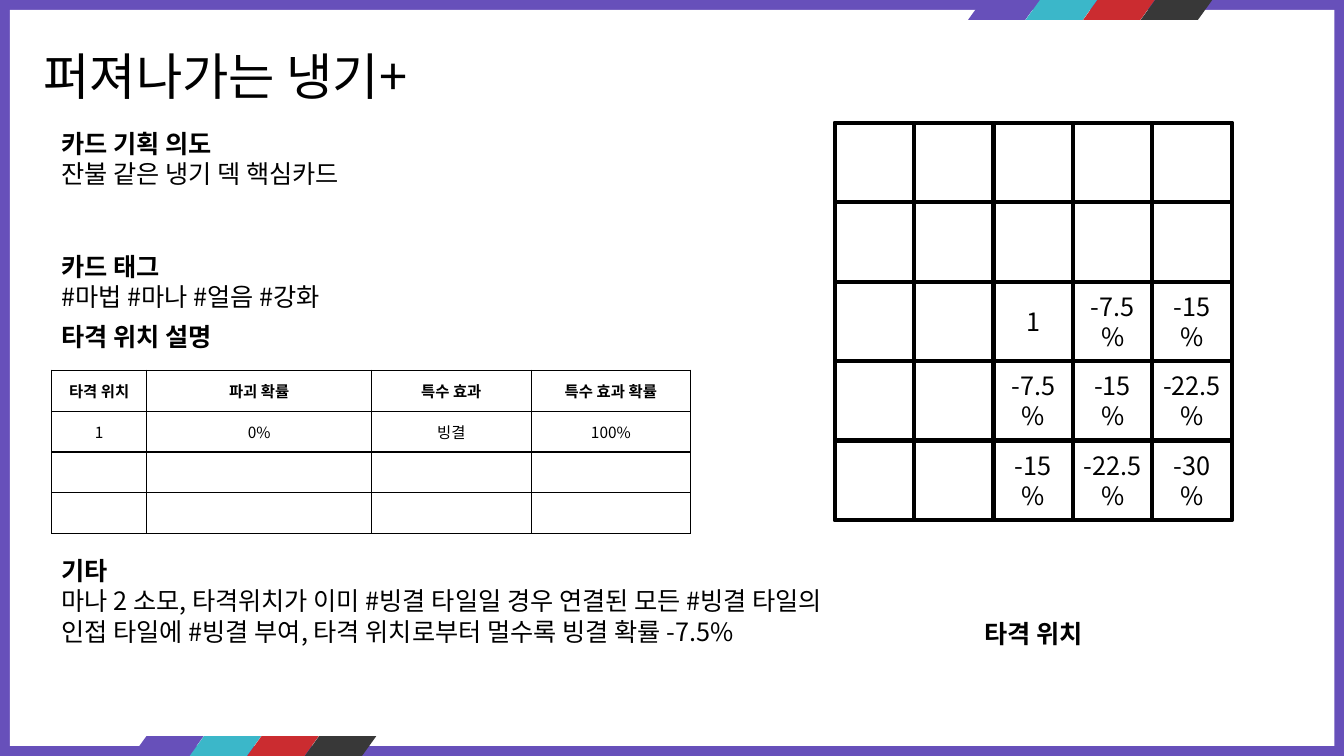
from lxml import etree
from pptx import Presentation
from pptx.dml.color import RGBColor
from pptx.enum.shapes import MSO_SHAPE
from pptx.enum.text import MSO_ANCHOR, MSO_AUTO_SIZE, PP_ALIGN
from pptx.oxml.ns import qn
from pptx.util import Cm, Inches, Pt

RECTANGLE = MSO_SHAPE.RECTANGLE
STRIPE = MSO_SHAPE.FLOWCHART_DATA
TOP, MIDDLE = MSO_ANCHOR.TOP, MSO_ANCHOR.MIDDLE
LEFT, CENTER = PP_ALIGN.LEFT, PP_ALIGN.CENTER
GROW = MSO_AUTO_SIZE.SHAPE_TO_FIT_TEXT

COLORS = {
    "purple": "6750BA",
    "teal": "3BB7C9",
    "red": "CB2C30",
    "charcoal": "383838",
    "white": "FFFFFF",
    "black": "000000",
}
FONT = "Noto Sans CJK KR"
TITLE_SIZE, BODY_SIZE, TABLE_SIZE = 36, 18, 11
GRID_UNIT = Cm(1)  # one column or one row


def grid(*lengths):
    """Turn columns and rows into slide lengths."""
    return [round(length * GRID_UNIT) for length in lengths]


def rgb(name):
    return RGBColor.from_string(COLORS[name])


class CardSlide:
    def __init__(self, presentation):
        self.slide = presentation.slides.add_slide(presentation.slide_layouts[5])
        self.shapes = self.slide.shapes
        background = self.slide.background.fill
        background.solid()
        background.fore_color.rgb = rgb("purple")

    def set_text(self, paragraph, text, size=BODY_SIZE, bold=False, align=LEFT):
        paragraph.text = text
        paragraph.alignment = align
        font = paragraph.font
        font.size, font.bold, font.name = Pt(size), bold, FONT
        font.color.rgb = rgb("black")
        defaults = paragraph._p.find(".//" + qn("a:defRPr"))
        etree.SubElement(defaults, qn("a:ea"), typeface=FONT)

    def title(self, text, *place):
        title = self.shapes.title
        title.left, title.top, title.width, title.height = grid(*place)
        frame = title.text_frame
        frame.word_wrap, frame.auto_size = True, GROW
        frame.vertical_anchor = TOP
        self.set_text(frame.paragraphs[0], text, TITLE_SIZE)
        self.shapes._spTree.append(title._element)  # in front of the panel

    def block(self, shape_type, color, *place, outlined=False, text=""):
        shape = self.shapes.add_shape(shape_type, *grid(*place))
        shape.shadow.inherit = False
        shape.fill.solid()
        shape.fill.fore_color.rgb = rgb(color)
        if outlined:
            shape.line.color.rgb = rgb("black")
            shape.line.width = Pt(3)
        else:
            shape.line.fill.background()
        if text:
            shape.text_frame.vertical_anchor = MIDDLE
            self.set_text(shape.text_frame.paragraphs[0], text, align=CENTER)

    def stripes(self, left, top):
        for index, color in enumerate(("purple", "teal", "red", "charcoal")):
            self.block(STRIPE, color, left + 1.45 * index, top, 1.8, 0.5)

    def section(self, heading, body, *place, align=LEFT):
        """Add a bold heading with an optional body paragraph under it."""
        frame = self.shapes.add_textbox(*grid(*place)).text_frame
        frame.word_wrap, frame.auto_size = True, GROW
        self.set_text(frame.paragraphs[0], heading, bold=True, align=align)
        if body:
            self.set_text(frame.add_paragraph(), body, align=align)

    def board(self, left, top, tile, count):
        """Draw the tiles; the chance drops with distance from the centre."""
        self.block(RECTANGLE, "white", left, top, tile * count, tile * count,
                   outlined=True)
        center = count // 2
        for row in range(count):
            for column in range(count):
                text = ""
                if row >= center and column >= center:
                    distance = row + column - 2 * center
                    text = f"{-7.5 * distance:g}%" if distance else "1"
                self.block(RECTANGLE, "white", left + column * tile,
                           top + row * tile, tile, tile, outlined=True, text=text)

    def border(self, cell):
        properties = cell._tc.get_or_add_tcPr()
        for index, side in enumerate(("lnL", "lnR", "lnT", "lnB")):
            line = etree.Element(qn("a:" + side), w=str(Pt(1)))
            fill = etree.SubElement(line, qn("a:solidFill"))
            etree.SubElement(fill, qn("a:srgbClr"), val=COLORS["black"])
            properties.insert(index, line)

    def table(self, rows, widths, left, top, row_height):
        place = grid(left, top, sum(widths), row_height * len(rows))
        table = self.shapes.add_table(len(rows), len(widths), *place).table
        table.first_row = table.horz_banding = False
        for column, width in zip(table.columns, grid(*widths)):
            column.width = width
        for row_index, texts in enumerate(rows):
            for column_index, text in enumerate(texts):
                cell = table.cell(row_index, column_index)
                cell.margin_left = cell.margin_right = 0
                cell.margin_top = cell.margin_bottom = 0
                cell.vertical_anchor = MIDDLE
                cell.fill.solid()
                cell.fill.fore_color.rgb = rgb("white")
                self.border(cell)
                self.set_text(cell.text_frame.paragraphs[0], text, TABLE_SIZE,
                              bold=row_index == 0, align=CENTER)


def main():
    presentation = Presentation()
    presentation.slide_width = Inches(13.33)
    presentation.slide_height = Inches(7.5)
    card = CardSlide(presentation)

    card.block(RECTANGLE, "white", 0.25, 0.25, 33.37, 18.55)
    card.stripes(24.39, 0)
    card.stripes(3.33, 18.55)

    card.section("카드 기획 의도", "잔불 같은 냉기 덱 핵심카드", 1.3, 3.1, 30.96, 1.8)
    card.board(21.03, 3.1, tile=2, count=5)
    card.section("카드 태그", "#마법 #마나 #얼음 #강화", 1.3, 6.2, 20.1, 1.8)
    card.section("타격 위치 설명", "", 1.3, 7.98, 20.1, 1.02)
    card.table(
        [
            ("타격 위치", "파괴 확률", "특수 효과", "특수 효과 확률"),
            ("1", "0%", "빙결", "100%"),
            ("",) * 4,
            ("",) * 4,
        ],
        (2.4, 5.66, 4.02, 4.02), 1.3, 9.33, row_height=1.03,
    )
    card.section("타격 위치", "", 23.45, 15.45, 5.18, 1.02, align=CENTER)
    card.section(
        "기타",
        "마나 2 소모, 타격위치가 이미 #빙결 타일일 경우 연결된 모든 #빙결 타일의 "
        "인접 타일에 #빙결 부여, 타격 위치로부터 멀수록 빙결 확률 -7.5%",
        1.3, 13.87, 20.1, 3.33,
    )
    card.title("퍼져나가는 냉기+", 0.84, 1.02, 16.33, 1.8)
    presentation.save("out.pptx")


if __name__ == "__main__":
    main()
